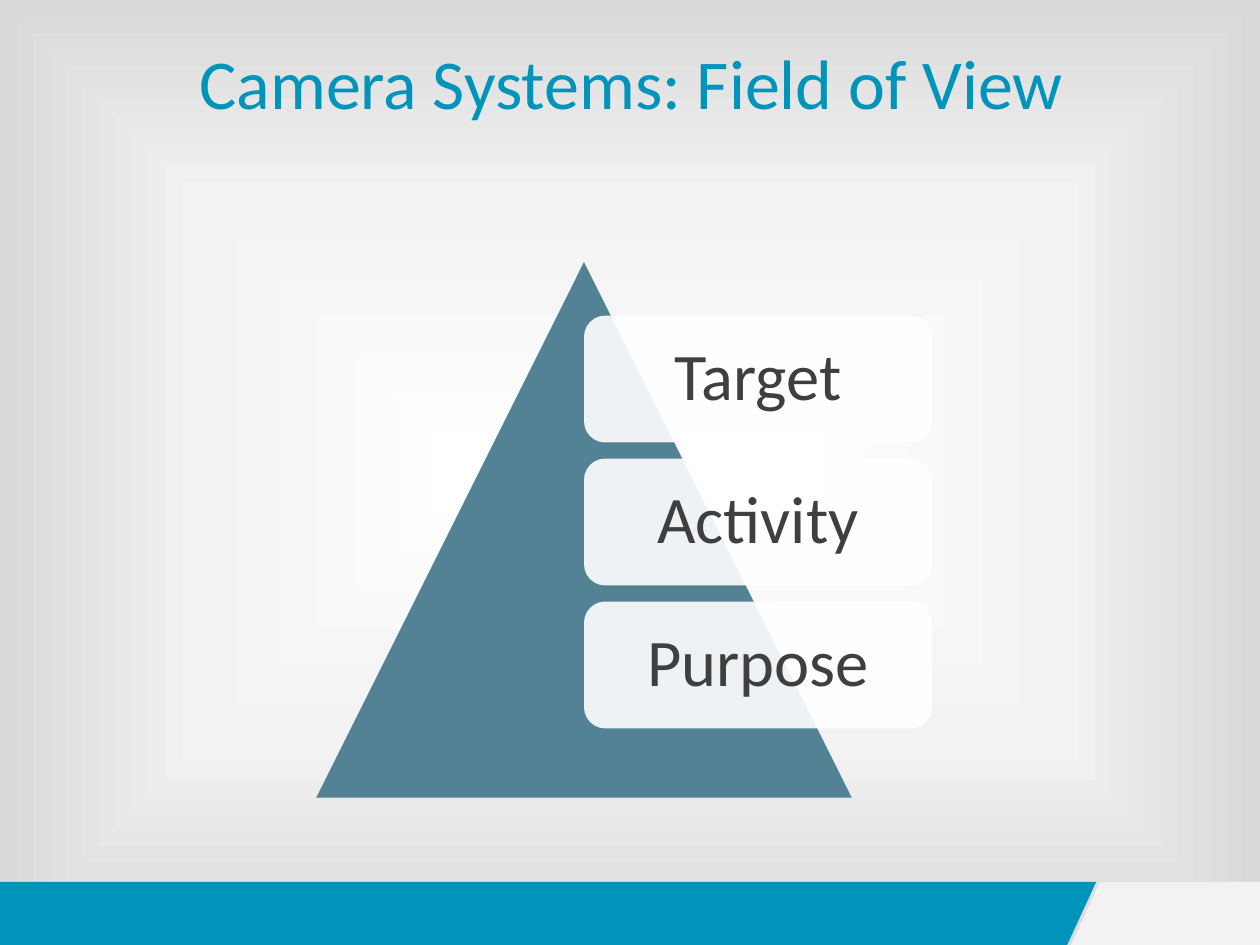
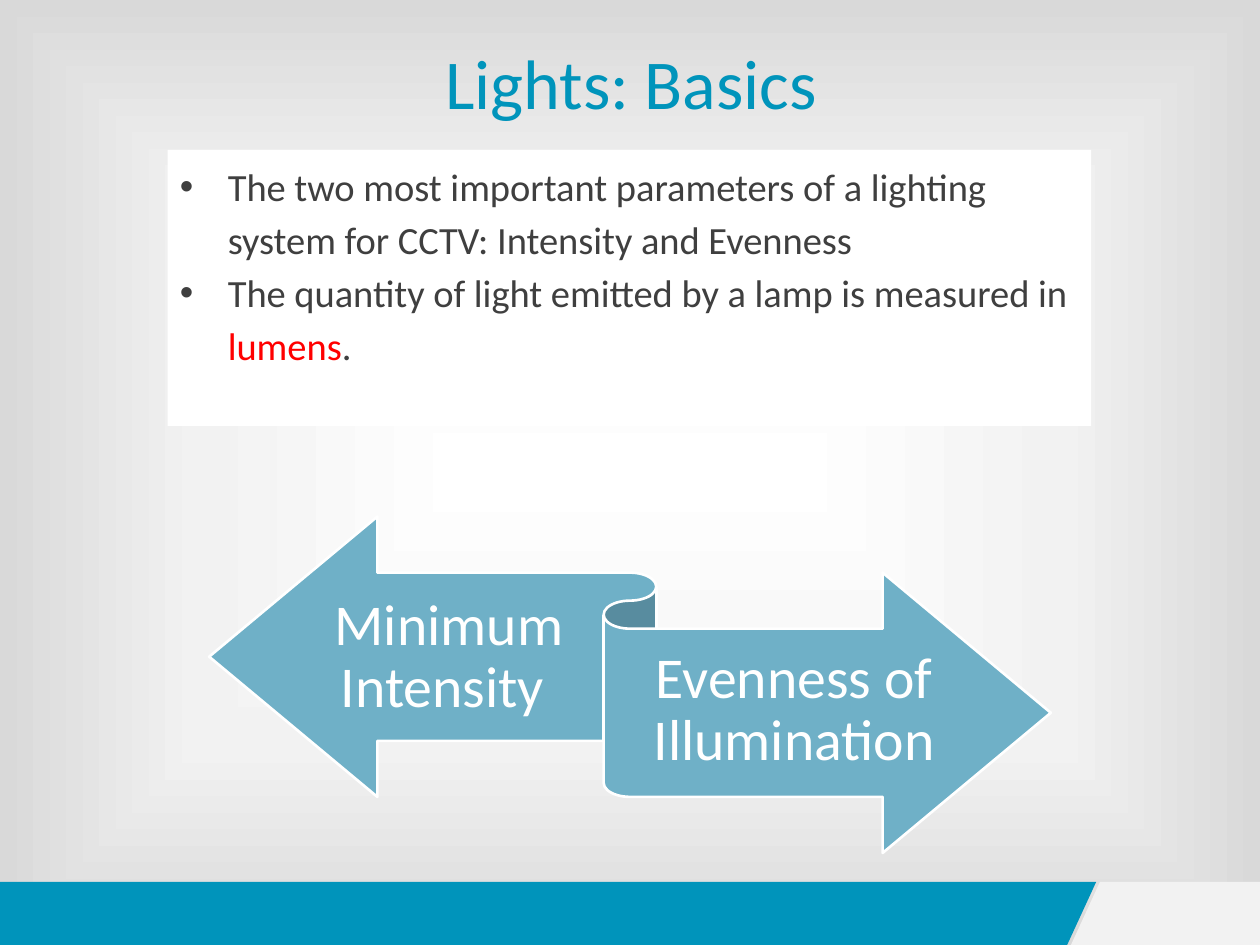
from dataclasses import dataclass

from lxml import etree
from pptx import Presentation
from pptx import util as u
from pptx.dml import color
from pptx.enum import shapes, text
from pptx.oxml import ns, parse_xml

COLORS = {
    "accent": "0094BB",
    "light": "F2F2F2",
    "edge": "D9D9D9",
    "white": "FFFFFF",
    "ink": "3F3F3F",
    "pyramid": "528293",
    "ribbon": "6FB0C7",
    "highlight": "FF0000",
}
FONT = "Calibri"
BACKGROUND_STOPS = [(0, "white"), (58, "light"), (100, "edge")]


@dataclass
class Box:
    left: float
    top: float
    width: float
    height: float

    def area(self, left, top, width, height):
        return Box(self.left + left * self.width, self.top + top * self.height,
                   width * self.width, height * self.height)

    def lengths(self):
        return [u.Inches(value) for value in (self.left, self.top, self.width, self.height)]


PAGE = Box(0, 0, 10, 7.5)
TITLE = PAGE.area(0.076, 0.028, 0.85, 0.116)
FOOTER = PAGE.area(0, 14 / 15, 1, 1 / 15)


def rgb(name):
    return color.RGBColor.from_string(COLORS[name])


def set_background(master):
    master.background.fill.solid()
    properties = master.element.find(".//" + ns.qn("p:bgPr"))
    stops = "".join(
        f'<a:gs pos="{position * 1000}"><a:srgbClr val="{COLORS[name]}"/></a:gs>'
        for position, name in BACKGROUND_STOPS)
    gradient = parse_xml(
        f'<a:gradFill {ns.nsdecls("a")} rotWithShape="1"><a:gsLst>{stops}</a:gsLst>'
        '<a:path path="rect"><a:fillToRect l="50000" t="50000" r="50000" b="50000"/></a:path>'
        '</a:gradFill>')
    properties.replace(properties[0], gradient)


def style_shape(shape, fill, line=None, opacity=None):
    shape.shadow.inherit = False
    shape.fill.solid()
    shape.fill.fore_color.rgb = rgb(fill)
    if opacity is not None:
        fill_color = shape.element.spPr.find(ns.qn("a:solidFill"))[0]
        etree.SubElement(fill_color, ns.qn("a:alpha"), val=str(opacity * 1000))
    if line:
        shape.line.color.rgb = rgb(line)
        shape.line.width = u.Pt(1.5)
    else:
        shape.line.fill.background()
    return shape


def add_preset(slide, kind, box, fill, **style):
    shape = slide.shapes.add_shape(kind, *box.lengths())
    return style_shape(shape, fill, **style)


def add_bullet(paragraph, indent):
    properties = paragraph._p.get_or_add_pPr()
    properties.set("marL", str(u.Inches(indent)))
    properties.set("indent", str(-u.Inches(indent)))
    etree.SubElement(properties, ns.qn("a:buFont"), typeface="Arial")
    etree.SubElement(properties, ns.qn("a:buChar"), char="•")


def write(shape, paragraphs, size, ink, align=text.PP_ALIGN.CENTER,
          anchor=text.MSO_ANCHOR.MIDDLE, spacing=None, bullet_indent=None,
          margins=(0.1, 0.05)):
    frame = shape.text_frame
    frame.word_wrap = True
    frame.vertical_anchor = anchor
    frame.margin_left = frame.margin_right = u.Inches(margins[0])
    frame.margin_top = frame.margin_bottom = u.Inches(margins[1])
    for index, runs in enumerate(paragraphs):
        paragraph = frame.add_paragraph() if index else frame.paragraphs[0]
        paragraph.alignment = align
        if spacing:
            paragraph.line_spacing = spacing
        if bullet_indent:
            add_bullet(paragraph, bullet_indent)
        for content, run_ink in runs:
            run = paragraph.add_run()
            run.text = content
            run.font.name = FONT
            run.font.size = u.Pt(size)
            run.font.color.rgb = rgb(run_ink or ink)


def add_band(slide, box, corners, fill):
    points = [(u.Inches(box.left + x * box.width), u.Inches(box.top + y * box.height))
              for x, y in corners]
    builder = slide.shapes.build_freeform(*points[0])
    builder.add_line_segments(points[1:], close=True)
    style_shape(builder.convert_to_shape(), fill)


def add_footer(slide, box):
    add_band(slide, box, [(0, 0), (0.87, 0), (0.847, 1), (0, 1)], "accent")
    add_band(slide, box, [(0.873, 0), (1, 0), (1, 1), (0.85, 1)], "light")


def add_titled_slide(presentation, title):
    slide = presentation.slides.add_slide(presentation.slide_layouts[5])
    placeholder = slide.shapes.title
    placeholder.left, placeholder.top, placeholder.width, placeholder.height = TITLE.lengths()
    write(placeholder, [[(title, None)]], 40, "accent")
    add_footer(slide, FOOTER)
    return slide


def add_pyramid(slide, box, labels):
    add_preset(slide, shapes.MSO_SHAPE.ISOSCELES_TRIANGLE, box, "pyramid")
    card_height, gap = 0.237, 0.03
    for row, label in enumerate(labels):
        card_box = box.area(0.5, 0.1 + row * (card_height + gap), 0.65, card_height)
        card = add_preset(slide, shapes.MSO_SHAPE.ROUNDED_RECTANGLE, card_box, "white", opacity=90)
        write(card, [[(label, None)]], 38, "ink", spacing=0.9, margins=(0.16, 0.16))


def add_ribbon(slide, box, labels):
    add_preset(slide, shapes.MSO_SHAPE.LEFT_RIGHT_RIBBON, box, "ribbon", line="white")
    label_boxes = [box.area(0.12, 0.175, 0.33, 0.49), box.area(0.5, 0.333, 0.39, 0.49)]
    for label, label_box in zip(labels, label_boxes):
        label_shape = slide.shapes.add_textbox(*label_box.lengths())
        write(label_shape, [[(label, None)]], 33, "white", spacing=0.9, margins=(0, 0.13))


def add_panel(slide, box, paragraphs):
    panel = add_preset(slide, shapes.MSO_SHAPE.RECTANGLE, box, "white")
    write(panel, paragraphs, 22, "ink", align=text.PP_ALIGN.LEFT,
          anchor=text.MSO_ANCHOR.TOP, spacing=1.15, bullet_indent=0.38)


def main():
    presentation = Presentation()
    presentation.slide_width = u.Inches(PAGE.width)
    presentation.slide_height = u.Inches(PAGE.height)
    set_background(presentation.slide_master)

    view_slide = add_titled_slide(presentation, "Camera Systems: Field of View")
    add_pyramid(view_slide, Box(2.51, 2.08, 4.25, 4.25), ["Target", "Activity", "Purpose"])

    lights_slide = add_titled_slide(presentation, "Lights: Basics")
    add_ribbon(lights_slide, Box(1.66, 4.1, 6.68, 2.67),
               ["Minimum Intensity ", "Evenness of Illumination"])
    add_panel(lights_slide, Box(1.33, 1.19, 7.33, 2.19), [
        [("The two most important parameters of a lighting system for CCTV: "
          "Intensity and Evenness", None)],
        [("The quantity of light emitted by a lamp is measured in ", None),
         ("lumens", "highlight"), (".", None)],
    ])
    presentation.save("out.pptx")


if __name__ == "__main__":
    main()
